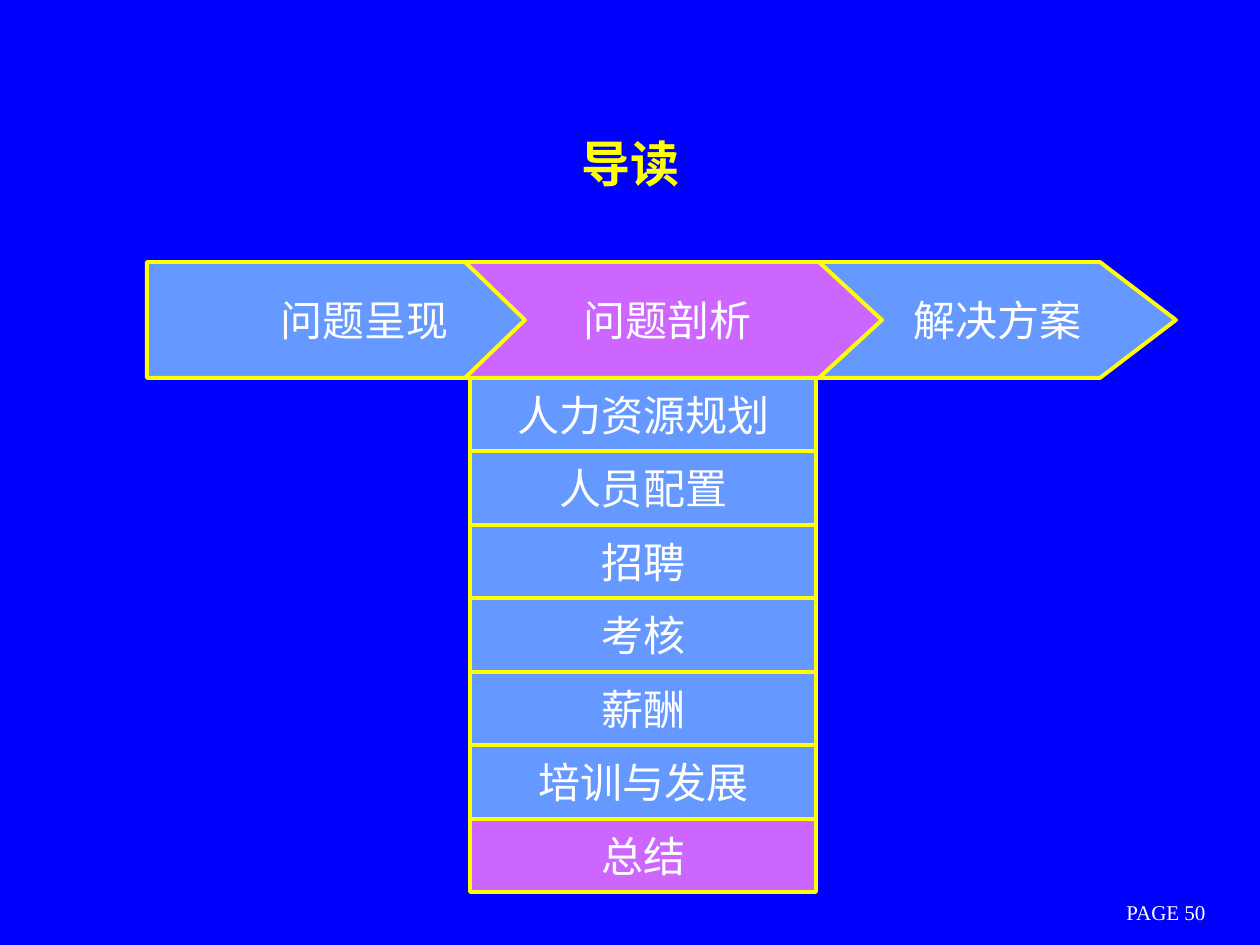
import pptx
import pptx.dml.color
import pptx.enum.shapes
import pptx.enum.text
import pptx.util

SCALE = 914400 / 126
COLORS = {
    "background": "0000FF",
    "normal": "6699FF",
    "current": "CC66FF",
    "accent": "FFFF00",
    "text": "FFFFFF",
}
BODY_FONT = "Times New Roman"
TITLE_FONT = "Noto Sans CJK SC"
ARROW_TOP, ARROW_BOTTOM = 262, 378
TOPIC_LEFT, TOPIC_WIDTH = 470, 346
STAGES = [
    ("解决方案", "normal", 724, 1100, 1176, 997),
    ("问题剖析", "current", 430, 819, 882, 667),
    ("问题呈现", "normal", 147, 465, 525, 364),
]
TOPICS = ["人力资源规划", "人员配置", "招聘", "考核", "薪酬", "培训与发展", "总结"]


def px(value):
    return pptx.util.Emu(round(value * SCALE))


def rgb(name):
    return pptx.dml.color.RGBColor.from_string(COLORS[name])


def write_text(shape, text, size, color="text", font=BODY_FONT, bold=False):
    frame = shape.text_frame
    frame.word_wrap = True
    frame.vertical_anchor = pptx.enum.text.MSO_ANCHOR.MIDDLE
    frame.text = text
    paragraph = frame.paragraphs[0]
    paragraph.alignment = pptx.enum.text.PP_ALIGN.CENTER
    paragraph.font.name = font
    paragraph.font.size = pptx.util.Pt(size)
    paragraph.font.bold = bold
    paragraph.font.color.rgb = rgb(color)


def style_box(shape, text, fill):
    shape.shadow.inherit = False
    shape.fill.solid()
    shape.fill.fore_color.rgb = rgb(fill)
    shape.line.color.rgb = rgb("accent")
    shape.line.width = pptx.util.Pt(2.25)
    write_text(shape, text, 24)


def add_title(slide, text):
    title = slide.shapes.title
    title.left, title.top, title.width, title.height = map(px, (95, 84, 1071, 158))
    write_text(title, text, 28, "accent", TITLE_FONT, True)


def add_page_number(slide, text):
    box = slide.shapes.add_textbox(px(1061), px(897), px(210), px(31))
    write_text(box, text, 12)


def add_stage(slide, text, fill, left, shoulder, tip, text_center):
    middle = (ARROW_TOP + ARROW_BOTTOM) / 2
    builder = slide.shapes.build_freeform(left, ARROW_TOP, scale=SCALE)
    builder.add_line_segments(
        [(shoulder, ARROW_TOP), (tip, middle), (shoulder, ARROW_BOTTOM), (left, ARROW_BOTTOM)]
    )
    arrow = builder.convert_to_shape()
    style_box(arrow, text, fill)
    arrow.text_frame.margin_left = px(13 + 2 * text_center - left - tip)


def add_topic(slide, index, text):
    top = ARROW_BOTTOM + index * 147 // 2
    bottom = ARROW_BOTTOM + (index + 1) * 147 // 2
    box = slide.shapes.add_shape(
        pptx.enum.shapes.MSO_SHAPE.RECTANGLE,
        px(TOPIC_LEFT), px(top), px(TOPIC_WIDTH), px(bottom - top),
    )
    style_box(box, text, "current" if text == TOPICS[-1] else "normal")


def main():
    presentation = pptx.Presentation()
    presentation.slide_width = px(1260)
    presentation.slide_height = px(945)
    slide = presentation.slides.add_slide(presentation.slide_layouts[5])
    slide.background.fill.solid()
    slide.background.fill.fore_color.rgb = rgb("background")
    add_title(slide, "导读")
    add_page_number(slide, "PAGE 50")
    for stage in STAGES:
        add_stage(slide, *stage)
    for index, topic in enumerate(TOPICS):
        add_topic(slide, index, topic)
    presentation.save("out.pptx")


if __name__ == "__main__":
    main()
